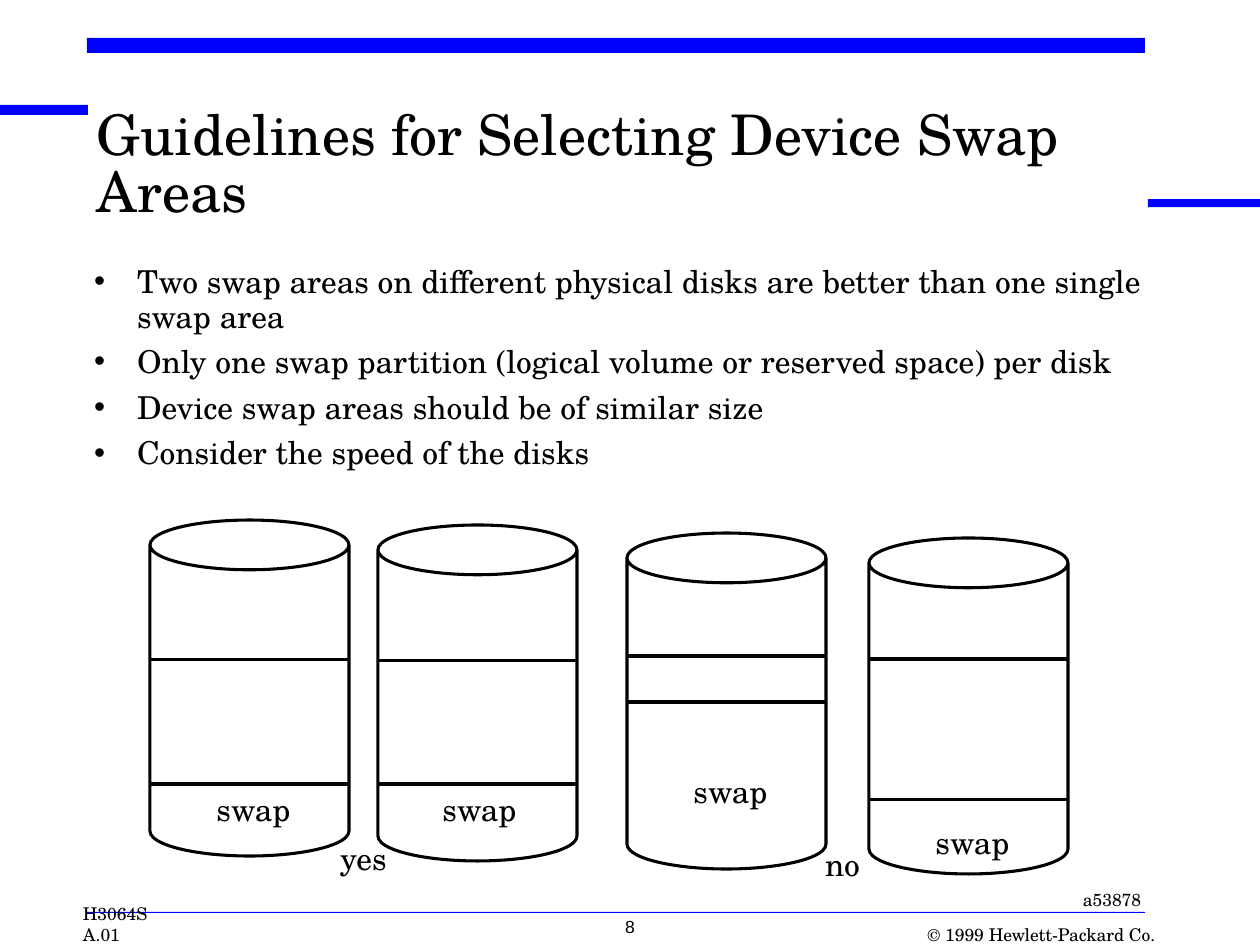
"""Build the slide on choosing device swap areas."""
from lxml.etree import SubElement
from pptx import Presentation
from pptx.dml.color import RGBColor
from pptx.enum.shapes import MSO_CONNECTOR as Connector, MSO_SHAPE as Shape
from pptx.enum.text import MSO_ANCHOR as Anchor, MSO_AUTO_SIZE as AutoSize, PP_ALIGN as Align
from pptx.oxml.ns import qn
from pptx.util import Emu, Pt

PX = 914400 / 126
BLACK = RGBColor(0x00, 0x00, 0x00)
BLUE = RGBColor(0x00, 0x00, 0xFF)
SERIF = "TeX Gyre Schola"
SANS = "Arial"
LINE_WIDTH = Pt(1.75)
DISK_WIDTH, DISK_HEIGHT = 199, 336
HANGING = 43
TITLE = "Guidelines for Selecting Device Swap Areas"

BARS = [(0, 105, 88, 10), (87, 38, 1058, 15), (1148, 199, 113, 8), (87, 912, 1058, 1)]
BULLETS = [
    ("Two swap areas on different physical disks are better than one single", True),
    ("swap area", False),
    ("Only one swap partition (logical volume or reserved space) per disk", True),
    ("Device swap areas should be of similar size", True),
    ("Consider the speed of the disks", True),
]
DISKS = [
    (150, 520, (660, 784)),
    (378, 525, (661, 784)),
    (627, 533, (656, 702)),
    (869, 538, (659, 800)),
]
DISK_LABELS = [
    ("swap", 215, 790, 77),
    ("swap", 441, 790, 77),
    ("swap", 692, 772, 77),
    ("swap", 934, 823, 77),
    ("yes", 339, 839, 49),
    ("no", 823, 845, 39),
]


def px(*lengths):
    """Turn pixel lengths into EMU."""
    return [Emu(round(length * PX)) for length in lengths]


def apply(target, values):
    """Set each attribute named in a dict."""
    for name, value in values.items():
        setattr(target, name, value)


def write(paragraph, text, size, face=SERIF):
    """Add one black run to a paragraph."""
    font = paragraph.add_run()
    font.text = text
    apply(font.font, {"size": Pt(size), "name": face, "bold": False})
    font.font.color.rgb = BLACK


def format_frame(frame, inset=(0, 0), **values):
    """Set the insets and other values of a text frame."""
    across, down = px(*inset)
    apply(frame, {"margin_left": across, "margin_right": across, "margin_top": down,
                  "margin_bottom": down, "auto_size": AutoSize.NONE,
                  "vertical_anchor": Anchor.TOP, **values})


def place(shape, left, top, width, height):
    """Move and size a placeholder."""
    names = ("left", "top", "width", "height")
    apply(shape, dict(zip(names, px(left, top, width, height))))


def add_label(slide, text, box, size=18, face=SERIF, align=Align.CENTER, **values):
    """Add a single-paragraph text box."""
    frame = slide.shapes.add_textbox(*px(*box)).text_frame
    format_frame(frame, **{"word_wrap": False, **values})
    paragraph = frame.paragraphs[0]
    paragraph.alignment = align
    write(paragraph, text, size, face)


def add_bar(slide, box):
    """Add a blue bar of the page frame."""
    bar = slide.shapes.add_shape(Shape.ROUNDED_RECTANGLE, *px(*box))
    bar.adjustments[0] = 0
    bar.shadow.inherit = False
    bar.fill.solid()
    bar.fill.fore_color.rgb = BLUE
    bar.line.fill.background()


def add_title(slide):
    """Fill the title placeholder."""
    title = slide.shapes.title
    place(title, 97, 110, 1017, 84)
    format_frame(title.text_frame, word_wrap=True)
    paragraph = title.text_frame.paragraphs[0]
    apply(paragraph, {"alignment": Align.LEFT, "line_spacing": 0.85})
    write(paragraph, TITLE, 32)


def set_bullet(paragraph, bulleted):
    """Give a paragraph a hanging bullet, or the same indent without one."""
    margin = px(HANGING)[0]
    properties = paragraph._p.get_or_add_pPr()
    properties.set("marL", str(margin))
    properties.set("indent", str(-margin if bulleted else 0))
    if bulleted:
        color = SubElement(properties, qn("a:buClr"))
        SubElement(color, qn("a:srgbClr")).set("val", str(BLACK))
        SubElement(properties, qn("a:buChar")).set("char", "•")
    else:
        SubElement(properties, qn("a:buNone"))


def add_guidelines(slide):
    """Fill the body placeholder with the guidelines."""
    body = slide.placeholders[1]
    place(body, 94, 262, 1060, 546)
    frame = body.text_frame
    format_frame(frame, word_wrap=True)
    for index, (text, bulleted) in enumerate(BULLETS):
        paragraph = frame.add_paragraph() if index else frame.paragraphs[0]
        set_bullet(paragraph, bulleted)
        apply(paragraph, {"alignment": Align.LEFT, "line_spacing": 1.0 if bulleted else 0.7,
                          "space_before": Pt(4.5 if index else 0)})
        write(paragraph, text, 18)


def add_disk(slide, left, top, dividers):
    """Add a disk cylinder with its partition lines."""
    disk = slide.shapes.add_shape(Shape.CAN, *px(left, top, DISK_WIDTH, DISK_HEIGHT))
    disk.adjustments[0] = 0.25
    disk.shadow.inherit = False
    disk.fill.background()
    disk.line.color.rgb = BLACK
    disk.line.width = LINE_WIDTH
    for y in dividers:
        ends = px(left + 1, y, left + DISK_WIDTH - 1, y)
        divider = slide.shapes.add_connector(Connector.STRAIGHT, *ends)
        divider.line.color.rgb = BLACK
        divider.line.width = LINE_WIDTH
        SubElement(divider._element.spPr, qn("a:effectLst"))


def add_footer(slide):
    """Add the course code, page number, figure code and copyright line."""
    add_label(slide, "H3064S A.01", (83, 924, 103, 21), 10, align=Align.LEFT,
              word_wrap=True, vertical_anchor=Anchor.BOTTOM)
    add_label(slide, "8", (499, 910, 262, 42), 10, SANS, inset=(13, 6), word_wrap=True)
    add_label(slide, "a53878", (1070, 883, 84, 34), 10, inset=(13, 6))
    add_label(slide, "© 1999 Hewlett-Packard Co.", (926, 924, 229, 21), 10,
              align=Align.RIGHT, vertical_anchor=Anchor.BOTTOM)


def main():
    """Build and save the slide."""
    presentation = Presentation()
    presentation.slide_width, presentation.slide_height = px(1260, 945)
    slide = presentation.slides.add_slide(presentation.slide_layouts[1])
    for box in BARS:
        add_bar(slide, box)
    add_title(slide)
    add_guidelines(slide)
    for disk in DISKS:
        add_disk(slide, *disk)
    for text, left, top, width in DISK_LABELS:
        add_label(slide, text, (left, top, width, 38))
    add_footer(slide)
    presentation.save("out.pptx")


if __name__ == "__main__":
    main()
